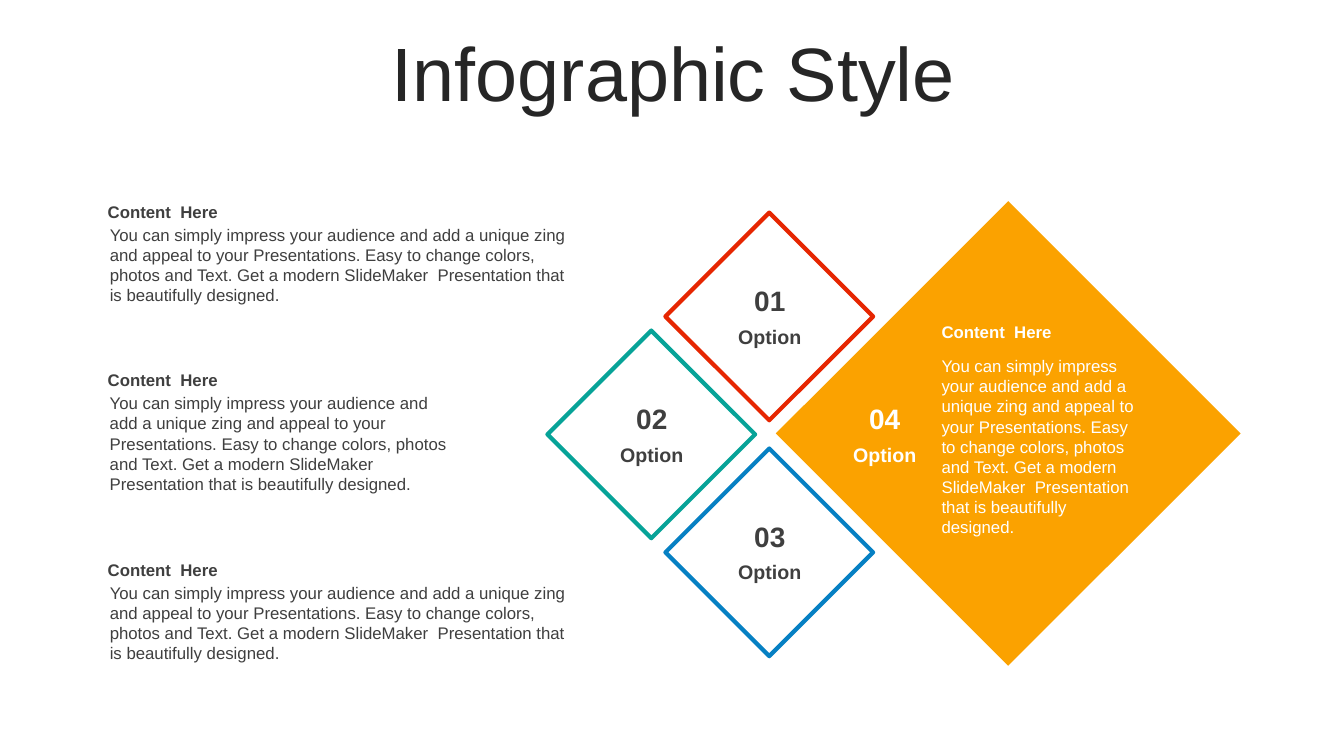
from pptx import Presentation
from pptx.dml.color import RGBColor
from pptx.enum.shapes import MSO_SHAPE
from pptx.enum.text import MSO_ANCHOR, PP_ALIGN
from pptx.util import Inches, Pt

DIAMOND = MSO_SHAPE.DIAMOND
TOP, MIDDLE = MSO_ANCHOR.TOP, MSO_ANCHOR.MIDDLE
LEFT, CENTER = PP_ALIGN.LEFT, PP_ALIGN.CENTER

COLORS = {"title": "262626", "text": "3F3F3F", "white": "FFFFFF", "teal": "07A398",
          "red": "E62601", "blue": "0680C3", "orange": "FBA200"}
HEADING = "Content  Here"
BODY = ("You can simply impress your audience and add a unique zing and appeal to your "
        "Presentations. Easy to change colors, photos and Text. Get a modern SlideMaker  "
        "Presentation that is beautifully designed.")
SMALL, LARGE, STEP = 2.06, 4.61, 1.17
HUB_X, HUB_Y = 7.63, 4.31


def rgb(name):
    """Return the palette colour with this name."""
    return RGBColor.from_string(COLORS[name])


def add_text(s, box, text, size, color="text", bold=False, align=LEFT, anchor=TOP):
    """Add a wrapped one-paragraph text box and return its paragraph."""
    tf = s.shapes.add_textbox(*map(Inches, box)).text_frame
    tf.word_wrap = True
    tf.vertical_anchor = anchor
    p = tf.paragraphs[0]
    p.text = text
    p.alignment = align
    p.font.name = "Arial"
    p.font.size = Pt(size)
    p.font.bold = bold
    p.font.color.rgb = rgb(color)
    return p


def add_title(s, box):
    """Add the slide title."""
    p = add_text(s, box, "Infographic Style", 54, "title", align=CENTER, anchor=MIDDLE)
    p.line_spacing = 0.9


def add_diamond(s, cx, cy, side, fill, line=None):
    """Add a diamond around a centre, outlined if a line colour is given."""
    box = (cx - side / 2, cy - side / 2, side, side)
    sp = s.shapes.add_shape(DIAMOND, *map(Inches, box))
    sp.shadow.inherit = False
    sp.fill.solid()
    sp.fill.fore_color.rgb = rgb(fill)
    if line:
        sp.line.color.rgb = rgb(line)
        sp.line.width = Pt(3)
    else:
        sp.line.fill.background()


def add_option(s, cx, cy, number, color="text"):
    """Add an option number and its label around a centre."""
    add_text(s, (cx - 0.59, cy + 0.03, 1.19, 0.34), "Option", 14, color, True, CENTER)
    add_text(s, (cx - 0.38, cy - 0.38, 0.77, 0.44), number, 20, color, True, CENTER, MIDDLE)


def add_content(s, left, top, width, height):
    """Add a heading with its body text beneath."""
    add_text(s, (left, top, width, 0.3), HEADING, 12, bold=True, anchor=MIDDLE)
    add_text(s, (left + 0.02, top + 0.23, width, height - 0.23), BODY, 12)


def add_feature(s, left, top, width, height):
    """Add the white heading and body text of the large diamond."""
    add_text(s, (left, top, width, 0.3), HEADING, 12, "white", True)
    add_text(s, (left, top + 0.34, width, height - 0.34), BODY, 12, "white")


def main():
    """Build and save the slide."""
    prs = Presentation()
    prs.slide_width, prs.slide_height = Inches(13.33), Inches(7.5)
    s = prs.slides.add_slide(prs.slide_layouts[6])
    add_title(s, (0.35, 0.37, 12.66, 0.79))

    options = [("01", "red", 0, -1), ("02", "teal", -1, 0), ("03", "blue", 0, 1)]
    for number, color, col, row in options:
        cx, cy = HUB_X + col * STEP, HUB_Y + row * STEP
        add_diamond(s, cx, cy, SMALL, "white", color)
        add_option(s, cx, cy, number)

    add_diamond(s, 10, 4.3, LARGE, "orange")
    add_option(s, 8.77, HUB_Y, "04", "white")
    add_feature(s, 9.24, 3.14, 2.11, 2.26)

    for top, width, height in [(1.95, 4.88, 1.14), (3.62, 3.57, 1.34), (5.5, 4.88, 1.14)]:
        add_content(s, 0.97, top, width, height)
    prs.save("out.pptx")


if __name__ == "__main__":
    main()
